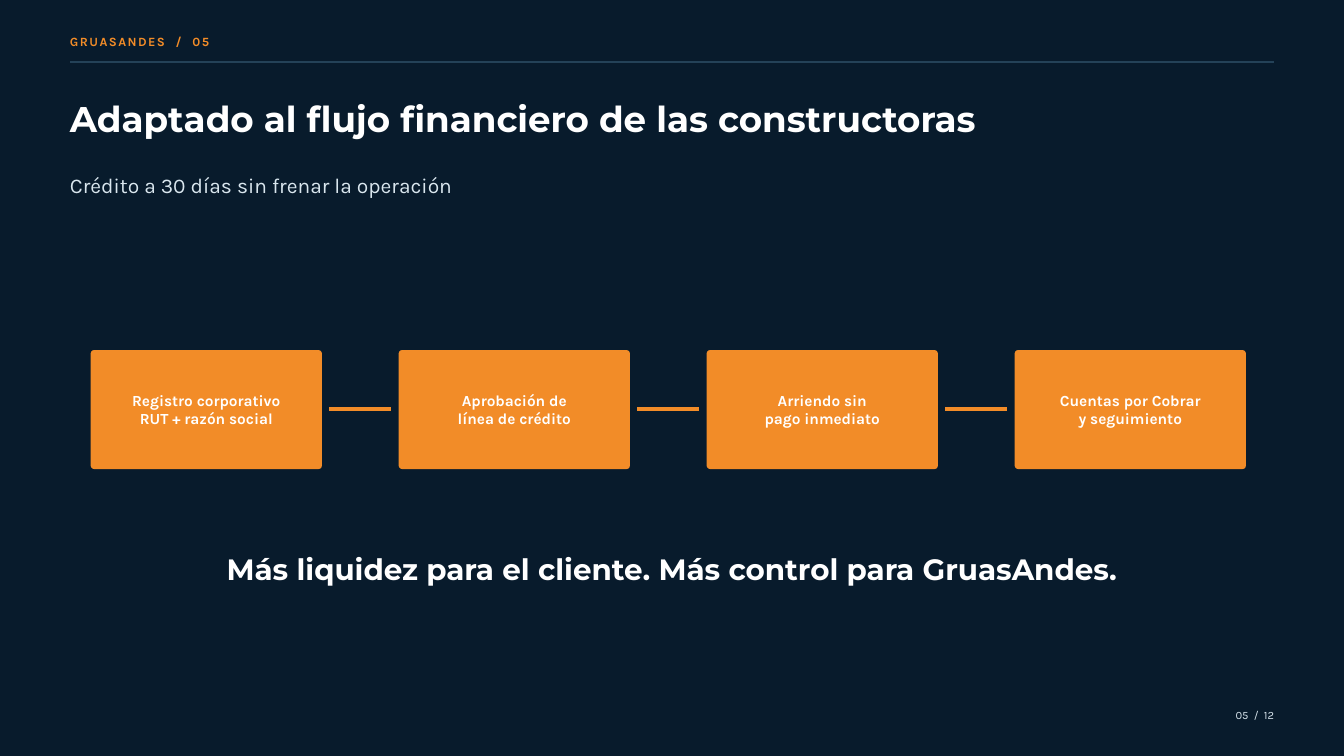
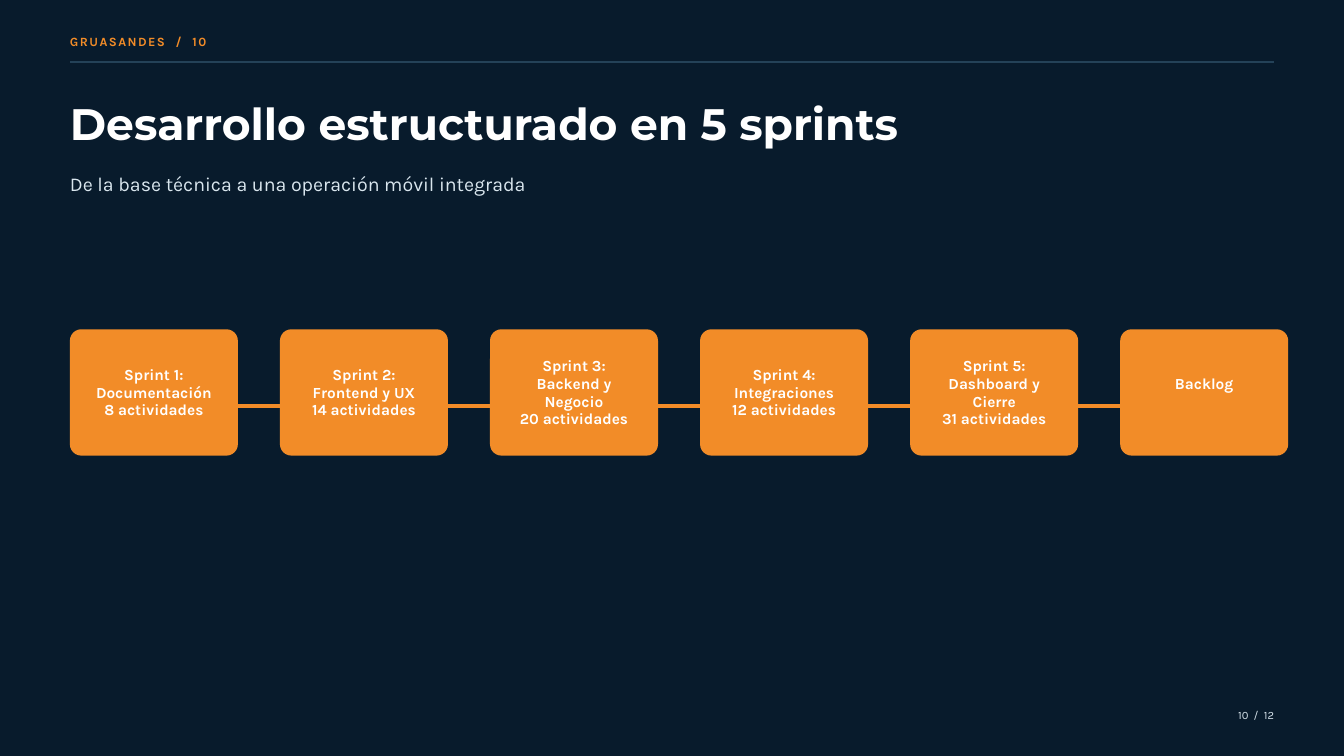
from dataclasses import dataclass

from lxml.etree import SubElement as SubEl
from pptx import Presentation
from pptx.dml.color import RGBColor
from pptx.enum.shapes import MSO_CONNECTOR as Link, MSO_SHAPE as Shape
from pptx.enum.text import MSO_ANCHOR as Anchor, PP_ALIGN as Align
from pptx.oxml.ns import qn
from pptx.util import Inches, Pt

# Shared palette, fonts and margins
NAVY, ORANGE, RULE = "081B2C", "F28C28", "244258"
WHITE, PALE = "FFFFFF", "D9E6EE"
HEAD, BODY = "Montserrat", "Karla"
LEFT, RIGHT = 1.04, 18.96
TOTAL = 12


@dataclass(frozen=True)
class Style:
    font: str
    size: float
    lead: float
    color: str = WHITE
    bold: bool = False
    align: Align = Align.LEFT
    track: float = 0


@dataclass(frozen=True)
class Label:
    text: str
    top: float
    width: float
    height: float
    style: Style
    left: float = LEFT


@dataclass(frozen=True)
class Row:
    """Equal cards spread from the first left edge to the last."""
    first: float
    last: float
    top: float
    width: float
    height: float
    radius: float
    inset: float
    cards: tuple[tuple[str, ...], ...]

    def lefts(self) -> list[float]:
        step = (self.last - self.first) / (len(self.cards) - 1)
        return [self.first + step * i for i in range(len(self.cards))]


BRAND = Style(BODY, 13.5, 18.9, ORANGE, True, track=1.6)
PAGE = Style(BODY, 12, 16.2, PALE, align=Align.RIGHT)
CARD = Style(BODY, 16.5, 19, WHITE, True, Align.CENTER)
CLAIM = Style(HEAD, 31.5, 33.1, WHITE, True, Align.CENTER)

CREDIT = Row(1.35, 15.1, 5.21, 3.44, 1.77, 0.05, 0.06, (
    ("Registro corporativo", "RUT + razón social"),
    ("Aprobación de", "línea de crédito"),
    ("Arriendo sin", "pago inmediato"),
    ("Cuentas por Cobrar", "y seguimiento"),
))
SPRINTS = Row(LEFT, 16.67, 4.9, 2.5, 1.88, 0.17, 0.19, (
    ("Sprint 1:", "Documentación", "8 actividades"),
    ("Sprint 2:", "Frontend y UX", "14 actividades"),
    ("Sprint 3:", "Backend y Negocio", "20 actividades"),
    ("Sprint 4:", "Integraciones", "12 actividades"),
    ("Sprint 5:", "Dashboard y Cierre", "31 actividades"),
    ("Backlog",),
))


def paint(code: str) -> RGBColor:
    return RGBColor.from_string(code)


def write(frame, lines: tuple[str, ...], style: Style) -> None:
    """Fill a text frame with one paragraph per line."""
    frame.word_wrap = True
    for i, line in enumerate(lines):
        para = frame.add_paragraph() if i else frame.paragraphs[0]
        para.alignment = style.align
        para.line_spacing = Pt(style.lead)
        run = para.add_run()
        run.text = line
        font = run.font
        font.name, font.size, font.bold = style.font, Pt(style.size), style.bold
        font.color.rgb = paint(style.color)
        if style.track:
            font._element.set("spc", str(round(style.track * 100)))


def pad(frame, inset: float, extra: float = 0) -> None:
    frame.margin_left = frame.margin_right = frame.margin_top = Inches(inset)
    frame.margin_bottom = Inches(inset + extra)


def add_label(slide, label: Label) -> None:
    box = slide.shapes.add_textbox(Inches(label.left), Inches(label.top),
                                   Inches(label.width), Inches(label.height))
    pad(box.text_frame, 0)
    write(box.text_frame, (label.text,), label.style)


def add_line(slide, start: float, end: float, y: float,
             color: str, weight: float) -> None:
    line = slide.shapes.add_connector(Link.STRAIGHT, Inches(start), Inches(y),
                                      Inches(end), Inches(y))
    line.line.color.rgb = paint(color)
    line.line.width = Pt(weight)
    SubEl(line._element.spPr, qn("a:effectLst"))


def add_cards(slide, row: Row, extra: float = 0) -> None:
    """Draw the cards; extra lifts the text of a one-line card."""
    for left, lines in zip(row.lefts(), row.cards):
        card = slide.shapes.add_shape(
            Shape.ROUNDED_RECTANGLE, Inches(left), Inches(row.top),
            Inches(row.width), Inches(row.height))
        card.adjustments[0] = row.radius / row.height
        card.shadow.inherit = False
        card.fill.solid()
        card.fill.fore_color.rgb = paint(ORANGE)
        card.line.fill.background()
        frame = card.text_frame
        frame.vertical_anchor = Anchor.MIDDLE
        pad(frame, row.inset, extra if len(lines) == 1 else 0)
        write(frame, lines, CARD)


def add_page(deck, number: int, title: Label, lead: Label):
    """Start a slide with the background, header, footer and titles."""
    slide = deck.slides.add_slide(deck.slide_layouts[6])
    back = slide.background.fill
    back.solid()
    back.fore_color.rgb = paint(NAVY)
    add_label(slide, Label(f"GRUASANDES  /  {number:02}", 0.47, 5.42, 0.25, BRAND))
    add_line(slide, LEFT, RIGHT, 0.92, RULE, 1.5)
    add_label(slide, Label(f"{number:02}  /  {TOTAL}", 10.52, 1.67, 0.21, PAGE, 17.29))
    add_label(slide, title)
    add_label(slide, lead)
    return slide


def add_credit(deck) -> None:
    slide = add_page(
        deck, 5,
        Label("Adaptado al flujo financiero de las constructoras",
              1.52, 13.54, 0.57, Style(HEAD, 38.2, 40.2, bold=True)),
        Label("Crédito a 30 días sin frenar la operación",
              2.52, 9.38, 0.4, Style(BODY, 22.5, 30.4, PALE)))
    add_cards(slide, CREDIT)
    # Short links centred in the gaps
    gap = 0.11
    lefts = CREDIT.lefts()
    for left, after in zip(lefts, lefts[1:]):
        add_line(slide, left + CREDIT.width + gap, after - gap,
                 6.09, ORANGE, 3.75)
    add_label(slide, Label(
        "Más liquidez para el cliente. Más control para GruasAndes.",
        8.27, 14.79, 0.48, CLAIM, 2.6))


def add_sprints(deck) -> None:
    slide = add_page(
        deck, 10,
        Label("Desarrollo estructurado en 5 sprints",
              1.53, 12.5, 0.71, Style(HEAD, 47.2, 49.6, bold=True)),
        Label("De la base técnica a una operación móvil integrada",
              2.51, 9.9, 0.38, Style(BODY, 21, 28.4, PALE)))
    # One track runs behind all cards
    add_line(slide, 1.88, 18.12, 6.04, ORANGE, 4.5)
    add_cards(slide, SPRINTS, extra=0.26)


def main() -> None:
    deck = Presentation()
    deck.slide_width, deck.slide_height = Inches(20), Inches(11.25)
    add_credit(deck)
    add_sprints(deck)
    deck.save("out.pptx")


if __name__ == "__main__":
    main()
